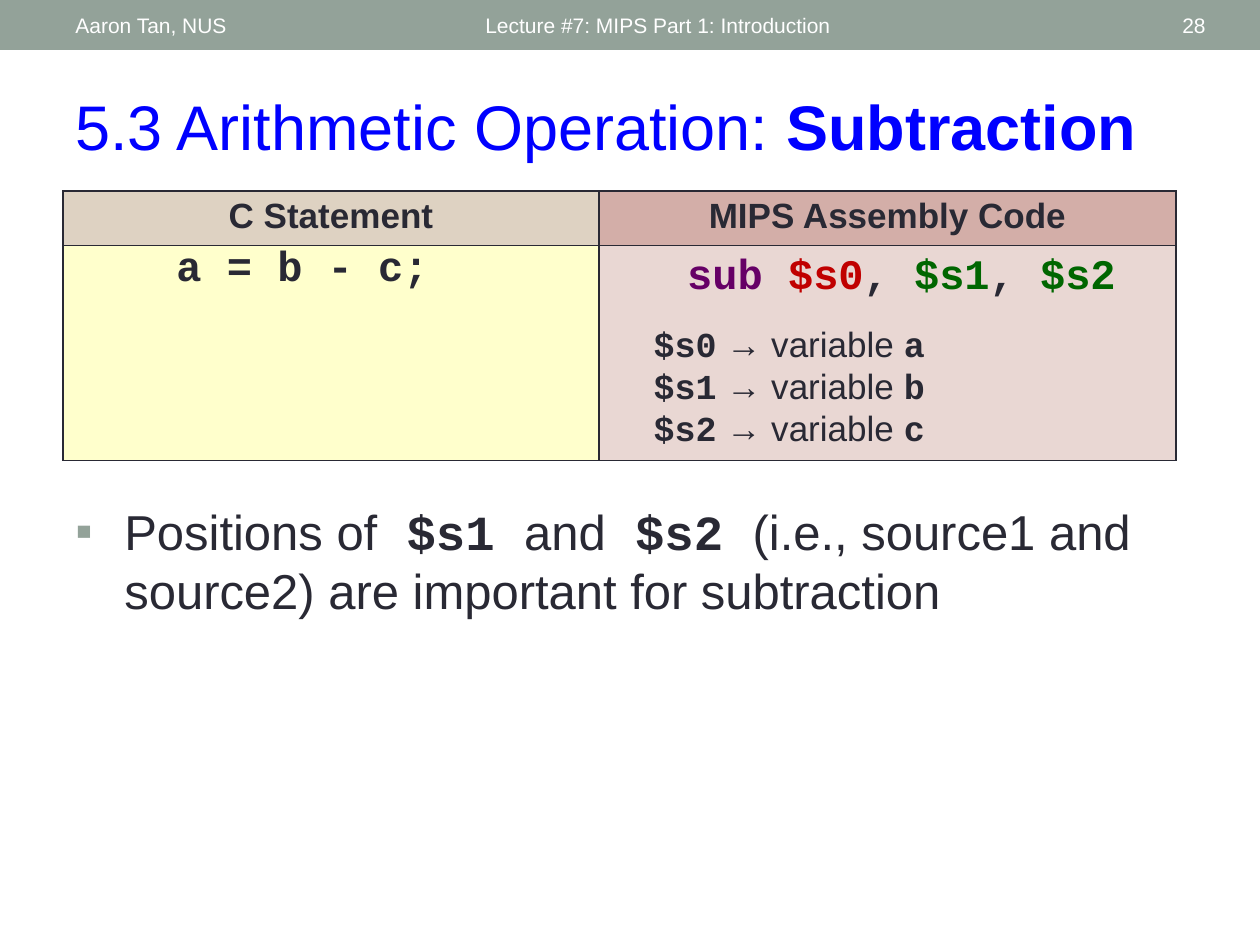
from dataclasses import dataclass
from typing import Any

from lxml.etree import SubElement
from pptx import Presentation
from pptx.dml.color import RGBColor
from pptx.enum.shapes import MSO_SHAPE as Shape
from pptx.enum.text import MSO_ANCHOR as Anchor, PP_ALIGN as Align
from pptx.oxml.ns import qn
from pptx.util import Emu, Pt

PX_PER_INCH = 126
SANS, MONO = "Arial", "Courier New"
INK, SAGE, WHITE, BLUE = "292934", "93A299", "FFFFFF", "0000FF"
PURPLE, RED, GREEN = "660066", "C00000", "006600"


@dataclass(frozen=True)
class Run:
    text: str
    font: str = SANS
    bold: bool = False
    color: str = INK


@dataclass(frozen=True)
class Label:
    box: tuple[int, int, int, int]
    runs: list[Run]
    size: int
    align: Align = Align.LEFT
    anchor: Anchor = Anchor.MIDDLE


@dataclass(frozen=True)
class HeaderCell:
    text: str
    fill: str
    body_fill: str
    width: int


def px(length: int) -> Emu:
    return Emu(round(length * 914400 / PX_PER_INCH))


def rgb(value: str) -> RGBColor:
    return RGBColor.from_string(value)


def code(text: str, color: str = INK) -> Run:
    return Run(text, MONO, True, color)


def write(paragraph: Any, runs: list[Run], *, size: int, align: Align = Align.LEFT,
          indent: int = 0, hanging: int = 0, bullet: str = "",
          before: float = 0, line: int = 0) -> None:
    properties = paragraph._p.get_or_add_pPr()
    properties.set("marL", str(px(indent)))
    properties.set("indent", str(-px(hanging)))
    paragraph.alignment = align
    if before:
        paragraph.space_before = Pt(before)
    if line:
        paragraph.line_spacing = Pt(line)
    if bullet:
        color = SubElement(properties, qn("a:buClr"))
        SubElement(color, qn("a:srgbClr"), val=SAGE)
        SubElement(properties, qn("a:buFont"), typeface=SANS)
        SubElement(properties, qn("a:buChar"), char=bullet)
    for item in runs:
        run = paragraph.add_run()
        run.text = item.text
        run.font.name = item.font
        run.font.size = Pt(size)
        run.font.bold = item.bold
        run.font.color.rgb = rgb(item.color)


def add_text_frame(slide: Any, box: tuple[int, int, int, int], anchor: Anchor) -> Any:
    frame = slide.shapes.add_textbox(*map(px, box)).text_frame
    frame.word_wrap = True
    frame.vertical_anchor = anchor
    return frame


def add_label(slide: Any, label: Label) -> None:
    frame = add_text_frame(slide, label.box, label.anchor)
    write(frame.paragraphs[0], label.runs, size=label.size, align=label.align)


def style_cell(cell: Any, fill: str) -> None:
    properties = cell._tc.get_or_add_tcPr()
    for side in ("lnL", "lnR", "lnT", "lnB"):
        border = SubElement(properties, qn(f"a:{side}"), w=str(Pt(1)))
        solid = SubElement(border, qn("a:solidFill"))
        SubElement(solid, qn("a:srgbClr"), val=INK)
    cell.fill.solid()
    cell.fill.fore_color.rgb = rgb(fill)


def add_code_table(slide: Any) -> None:
    headers = [HeaderCell("C Statement", "DED2C2", "FFFFCC", 536),
               HeaderCell("MIPS Assembly Code", "D3AEA8", "E9D7D3", 577)]
    heights = [53, 215]
    width = sum(header.width for header in headers)
    table = slide.shapes.add_table(2, 2, px(63), px(191), px(width), px(sum(heights))).table
    table.first_row = table.horz_banding = False
    for row, height in zip(table.rows, heights):
        row.height = px(height)
    for index, header in enumerate(headers):
        table.columns[index].width = px(header.width)
        style_cell(table.cell(0, index), header.fill)
        style_cell(table.cell(1, index), header.body_fill)
        write(table.cell(0, index).text_frame.paragraphs[0],
              [Run(header.text, bold=True)], size=20, align=Align.CENTER)

    write(table.cell(1, 0).text_frame.paragraphs[0], [code("    a = b - c;")], size=24, line=24)

    assembly = table.cell(1, 1)
    assembly.vertical_anchor = Anchor.MIDDLE
    frame = assembly.text_frame
    write(frame.paragraphs[0],
          [code("   sub ", PURPLE), code("$s0", RED), code(", "),
           code("$s1", GREEN), code(", "), code("$s2", GREEN)], size=24)
    for index, variable in enumerate("abc"):
        write(frame.add_paragraph(),
              [code(f"$s{index}"), Run(" → variable "), code(variable)],
              size=20, indent=42, before=0 if index else 13.6)


def main() -> None:
    presentation = Presentation()
    presentation.slide_width, presentation.slide_height = px(1260), px(945)
    slide = presentation.slides.add_slide(presentation.slide_layouts[6])

    band = slide.shapes.add_shape(Shape.RECTANGLE, 0, 0, px(1260), px(50))
    band.shadow.inherit = False
    band.fill.solid()
    band.fill.fore_color.rgb = rgb(SAGE)
    band.line.fill.background()

    labels = [
        Label((473, 3, 567, 45), [Run("Lecture #7: MIPS Part 1: Introduction", color=WHITE)], 12),
        Label((63, 3, 399, 45), [Run("Aaron Tan, NUS", color=WHITE)], 12),
        Label((1099, 3, 119, 45), [Run("28", color=WHITE)], 12, Align.RIGHT),
        Label((63, 81, 1155, 89), [Run("5.3 Arithmetic Operation: ", color=BLUE),
                                   Run("Subtraction", bold=True, color=BLUE)],
              36, anchor=Anchor.TOP),
    ]
    for label in labels:
        add_label(slide, label)

    add_code_table(slide)

    note = add_text_frame(slide, (63, 495, 1134, 388), Anchor.TOP)
    write(note.paragraphs[0],
          [Run("Positions of"), code(" $s1 "), Run("and"), code(" $s2 "),
           Run("(i.e., source1 and source2) are important for subtraction")],
          size=28, indent=49, hanging=49, bullet="▪")

    presentation.save("out.pptx")


if __name__ == "__main__":
    main()
